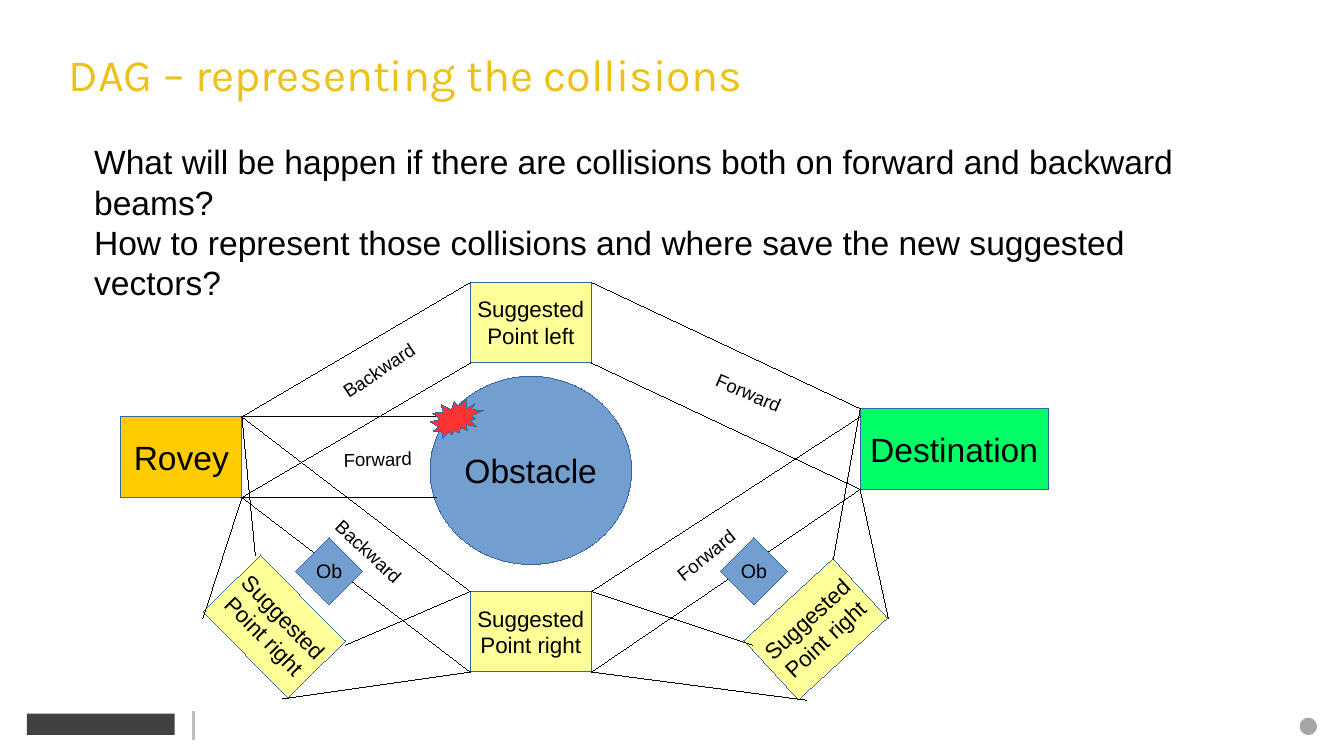
from dataclasses import dataclass

from lxml.etree import SubElement
from pptx import Presentation
from pptx.dml.color import RGBColor
from pptx.enum.shapes import MSO_CONNECTOR as Connector, MSO_SHAPE as Shape
from pptx.enum.text import MSO_ANCHOR as Anchor, MSO_AUTO_SIZE as AutoSize, PP_ALIGN as Align
from pptx.oxml.ns import qn
from pptx.util import Emu, Pt

EMU_PER_PX = 9144
HAIRLINE = Emu(1)
COLORS = {
    "title": "EDC218",
    "text": "000000",
    "edge": "3465A4",
    "robot": "FFCC00",
    "obstacle": "729FCF",
    "destination": "00FF66",
    "point": "FFFF99",
    "collision": "FF3333",
    "mark": "414042",
    "divider": "BFBFBF",
    "dot": "A6A6A6",
}


@dataclass(frozen=True)
class Node:
    x: int
    y: int
    w: int
    h: int
    fill: str
    lines: tuple[str, ...] = ()
    size: float = 18
    kind: Shape = Shape.RECTANGLE
    rotation: float = 0
    edge: str | None = "edge"


@dataclass(frozen=True)
class Beam:
    x1: int
    y1: int
    x2: int
    y2: int
    color: str = "text"
    width: Emu = HAIRLINE


@dataclass(frozen=True)
class Label:
    x: int
    y: int
    w: int
    text: str
    rotation: float


def px(n: int) -> Emu:
    return Emu(n * EMU_PER_PX)


def rgb(name: str) -> RGBColor:
    return RGBColor.from_string(COLORS[name])


def place(sp, x: int, y: int, w: int, h: int) -> None:
    sp.left, sp.top, sp.width, sp.height = px(x), px(y), px(w), px(h)


def write(tf, lines, *, size, font="Arial", color="text", align=Align.LEFT,
          anchor=Anchor.TOP, wrap=True, spacing=1.0) -> None:
    tf.auto_size = AutoSize.NONE
    tf.word_wrap = wrap
    tf.vertical_anchor = anchor
    for i, line in enumerate(lines):
        p = tf.paragraphs[0] if i == 0 else tf.add_paragraph()
        p.alignment = align
        p.line_spacing = spacing
        p.space_before = p.space_after = Pt(0)
        r = p.add_run()
        r.text = line
        r.font.size = Pt(size)
        r.font.name = font
        r.font.color.rgb = rgb(color)


def draw_node(s, n: Node) -> None:
    sp = s.shapes.add_shape(n.kind, px(n.x), px(n.y), px(n.w), px(n.h))
    sp.shadow.inherit = False
    sp.rotation = n.rotation
    sp.fill.solid()
    sp.fill.fore_color.rgb = rgb(n.fill)
    if n.edge:
        sp.line.color.rgb = rgb(n.edge)
        sp.line.width = HAIRLINE
    else:
        sp.line.fill.background()
    if n.lines:
        write(sp.text_frame, n.lines, size=n.size, align=Align.CENTER,
              anchor=Anchor.MIDDLE, wrap=False)


def draw_beam(s, b: Beam) -> None:
    c = s.shapes.add_connector(Connector.STRAIGHT, px(b.x1), px(b.y1), px(b.x2), px(b.y2))
    c.line.color.rgb = rgb(b.color)
    c.line.width = b.width
    SubElement(c._element.spPr, qn("a:effectLst"))


def draw_label(s, item: Label) -> None:
    tb = s.shapes.add_textbox(px(item.x), px(item.y), px(item.w), px(41))
    tb.rotation = item.rotation
    write(tb.text_frame, [item.text], size=10)


RIGHT = ("Suggested", "Point right")
NODES = [
    Node(967, 534, 13, 13, "dot", kind=Shape.OVAL, edge=None),
    Node(20, 531, 110, 16, "mark", edge=None),
    Node(90, 310, 90, 60, "robot", ("Rovey",)),
    Node(320, 280, 150, 140, "obstacle", ("Obstacle",), kind=Shape.OVAL),
    Node(640, 304, 140, 60, "destination", ("Destination",)),
    Node(350, 210, 90, 60, "point", ("Suggested", "Point left"), 12),
    Node(350, 440, 90, 60, "point", RIGHT, 12),
    Node(159, 436, 90, 60, "point", RIGHT, 12, rotation=45.4),
    Node(562, 438, 90, 60, "point", RIGHT, 12, rotation=317.4),
]
BEAMS = [
    Beam(144, 529, 144, 551, "divider", Pt(1.25)),
    Beam(180, 310, 330, 310),
    Beam(180, 370, 325, 370),
    Beam(180, 370, 350, 270),
    Beam(180, 310, 350, 210),
    Beam(440, 270, 640, 364),
    Beam(440, 210, 640, 304),
    Beam(180, 310, 350, 440),
    Beam(180, 370, 350, 500),
    Beam(440, 440, 640, 310),
    Beam(440, 500, 640, 364),
    Beam(180, 310, 190, 413),
    Beam(180, 370, 151, 460),
    Beam(257, 480, 350, 440),
    Beam(210, 520, 350, 500),
    Beam(440, 500, 600, 521),
    Beam(440, 440, 560, 480),
    Beam(620, 416, 640, 304),
    Beam(661, 460, 640, 364),
]
LABELS = [
    Label(244, 256, 98, "Backward", 326.3),
    Label(518, 283, 94, "Forward", 23.6),
    Label(246, 328, 94, "Forward", 358.7),
    Label(227, 401, 98, "Backward", 43),
    Label(492, 391, 93, "Forward", 321.3),
]
OVERLAYS = [
    Node(320, 296, 40, 30, "collision", kind=Shape.EXPLOSION2),
    *(Node(x, 400, 50, 50, "obstacle", ("Ob",), 10.5, Shape.DIAMOND) for x in (220, 536)),
]
QUESTIONS = [
    "What will be happen if there are collisions both on forward and backward beams?",
    "How to represent those collisions and where save the new suggested vectors?",
]


def main() -> None:
    prs = Presentation()
    prs.slide_width = px(1000)
    prs.slide_height = Emu(prs.slide_width * 9 // 16)
    s = prs.slides.add_slide(prs.slide_layouts[1])

    title, body = s.shapes.title, s.placeholders[1]
    place(title, 41, 30, 900, 54)
    write(title.text_frame, ["DAG – representing the collisions"], size=24,
          font="Karla", color="title", anchor=Anchor.MIDDLE, spacing=0.9)
    place(body, 60, 100, 860, 150)
    write(body.text_frame, QUESTIONS, size=18)
    for p in body.text_frame.paragraphs:
        pPr = p._p.get_or_add_pPr()
        pPr.set("marL", "0")
        pPr.set("indent", "0")
        SubElement(pPr, qn("a:buNone"))

    for n in NODES:
        draw_node(s, n)
    for b in BEAMS:
        draw_beam(s, b)
    for item in LABELS:
        draw_label(s, item)
    for n in OVERLAYS:
        draw_node(s, n)
    prs.save("out.pptx")


if __name__ == "__main__":
    main()
